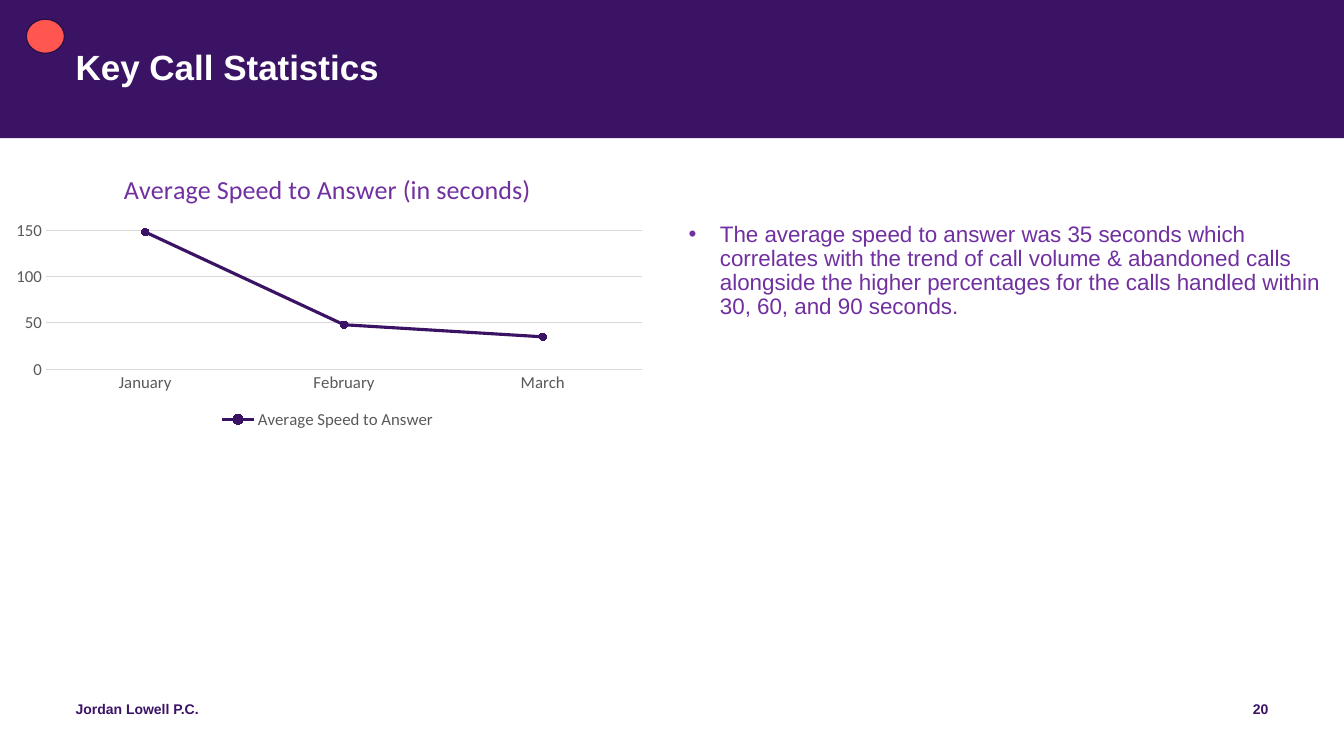
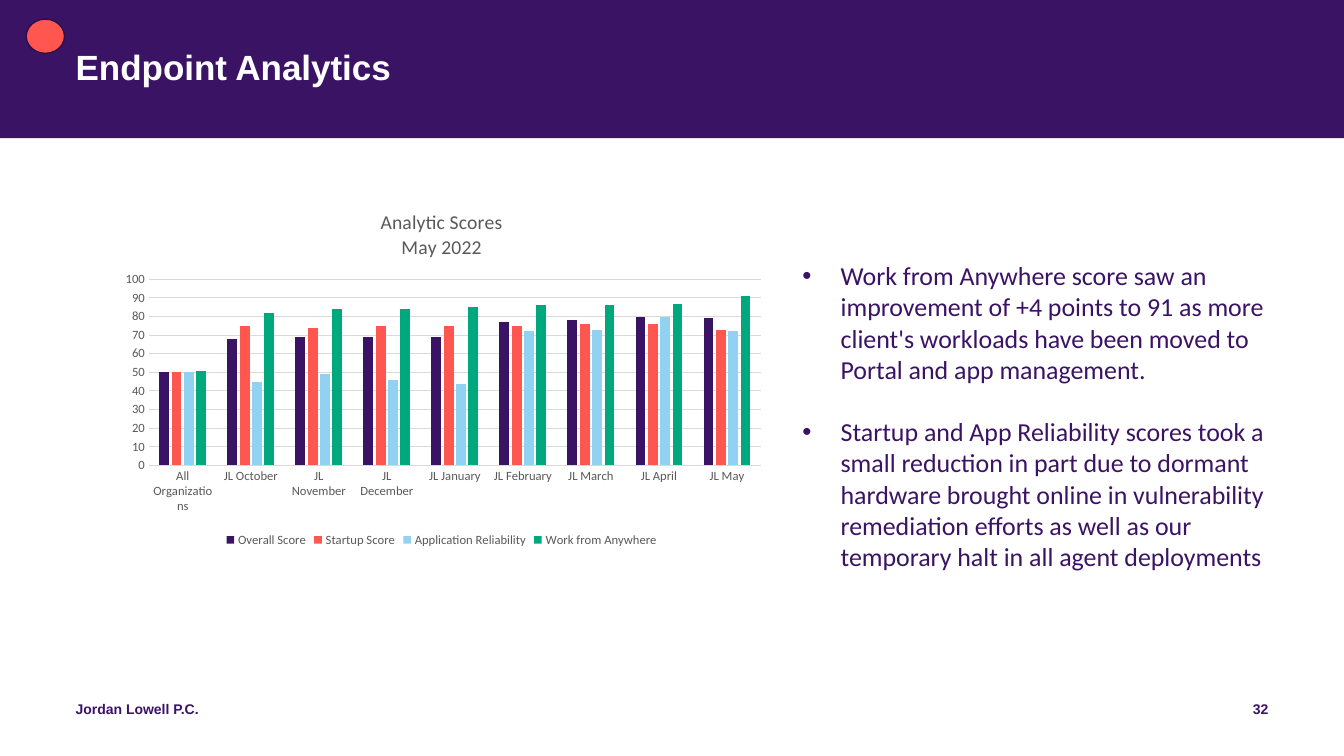
from lxml import etree
from pptx import Presentation
from pptx import util as u
from pptx.chart import data
from pptx.dml import color
from pptx.enum import chart as charts, shapes, text
from pptx.oxml import ns

WIDTH, HEIGHT = 13.33, 7.5
PURPLE, CORAL, SKY, GREEN = "3B1365", "FF5750", "91D2F2", "00A87E"
OUTLINE, VIOLET, GREY, GRID, WHITE = "2C0E4B", "7030A0", "595959", "D9D9D9", "FFFFFF"
FIRM = "Jordan Lowell P.C."


def rgb(value):
    """Turn a hex string into a colour."""
    return color.RGBColor.from_string(value)


def box(left, top, width, height):
    """Turn percentages of the slide into a position and a size."""
    return (u.Inches(left * WIDTH / 100), u.Inches(top * HEIGHT / 100),
            u.Inches(width * WIDTH / 100), u.Inches(height * HEIGHT / 100))


def style_font(font, size, fill, name="Arial", bold=False):
    """Set the face, size, weight and colour of a font."""
    font.name, font.size, font.bold = name, u.Pt(size), bold
    font.color.rgb = rgb(fill)


def prepare_frame(frame, inset_x=0, inset_y=0):
    """Make a text frame wrap from its top with the given insets."""
    frame.word_wrap = True
    frame.auto_size = text.MSO_AUTO_SIZE.NONE
    frame.vertical_anchor = text.MSO_ANCHOR.TOP
    frame.margin_left = frame.margin_right = u.Inches(inset_x)
    frame.margin_top = frame.margin_bottom = u.Inches(inset_y)


def add_run(paragraph, words, *font):
    """Add one styled run to a paragraph."""
    run = paragraph.add_run()
    run.text = words
    style_font(run.font, *font)


def add_preset(slide, preset, area, fill, line=None):
    """Add a filled preset shape with an optional outline."""
    shape = slide.shapes.add_shape(preset, *box(*area))
    shape.shadow.inherit = False
    shape.fill.solid()
    shape.fill.fore_color.rgb = rgb(fill)
    if line:
        shape.line.color.rgb = rgb(line)
        shape.line.width = u.Pt(1)
    else:
        shape.line.fill.background()
    return shape


def add_label(slide, area, words, align):
    """Add a footer label."""
    frame = slide.shapes.add_textbox(*box(*area)).text_frame
    prepare_frame(frame)
    paragraph = frame.paragraphs[0]
    paragraph.alignment = align
    add_run(paragraph, words, 10, PURPLE, "Arial", True)


def add_slide(presentation, heading, number):
    """Add a slide with its band, title, dot and footer."""
    slide = presentation.slides.add_slide(presentation.slide_layouts[5])
    band = add_preset(slide, shapes.MSO_SHAPE.RECTANGLE, (0, 0, 100, 18.27), PURPLE)
    title = slide.shapes.title
    title._element.addprevious(band._element)
    title.left, title.top, title.width, title.height = box(5.63, 6.67, 88.75, 10.8)
    prepare_frame(title.text_frame)
    paragraph = title.text_frame.paragraphs[0]
    paragraph.alignment = text.PP_ALIGN.LEFT
    paragraph.line_spacing = 0.9
    add_run(paragraph, heading, 25, WHITE, "Arial", True)
    add_preset(slide, shapes.MSO_SHAPE.OVAL, (1.95, 2.53, 2.85, 4.53), CORAL, OUTLINE)
    add_label(slide, (5.63, 92.67, 33.76, 5.33), FIRM, text.PP_ALIGN.LEFT)
    add_label(slide, (71.87, 92.67, 22.51, 5.33), str(number), text.PP_ALIGN.RIGHT)
    return slide


def add_bullets(slide, area, items, font, indent, spacing=1.0, gap=0, insets=(0, 0)):
    """Add a box of bulleted paragraphs."""
    frame = slide.shapes.add_textbox(*box(*area)).text_frame
    prepare_frame(frame, *insets)
    for index, words in enumerate(items):
        paragraph = frame.add_paragraph() if index else frame.paragraphs[0]
        paragraph.line_spacing = spacing
        paragraph.space_before = u.Pt(gap if index else 0)
        properties = paragraph._p.get_or_add_pPr()
        properties.set("marL", str(u.Inches(indent)))
        properties.set("indent", str(-u.Inches(indent)))
        etree.SubElement(properties, ns.qn("a:buFont")).set("typeface", "Arial")
        etree.SubElement(properties, ns.qn("a:buChar")).set("char", "•")
        add_run(paragraph, words, *font)


def set_plot_area(chart, *shares):
    """Place the inner plot area by shares of the chart."""
    plot_area = chart._chartSpace.chart.plotArea
    for layout in plot_area.findall(ns.qn("c:layout")):
        plot_area.remove(layout)
    layout = etree.Element(ns.qn("c:layout"))
    plot_area.insert(0, layout)
    manual = etree.SubElement(layout, ns.qn("c:manualLayout"))
    settings = [("layoutTarget", "inner"), ("xMode", "edge"), ("yMode", "edge")]
    for tag, value in settings + list(zip("xywh", shares)):
        etree.SubElement(manual, ns.qn(f"c:{tag}")).set("val", str(value))


def style_axes(chart, size, maximum, step):
    """Format both axes and the value gridlines."""
    for axis in (chart.category_axis, chart.value_axis):
        axis.major_tick_mark = axis.minor_tick_mark = charts.XL_TICK_MARK.NONE
        style_font(axis.tick_labels.font, size, GREY, "Calibri")
    values = chart.value_axis
    values.minimum_scale, values.maximum_scale, values.major_unit = 0, maximum, step
    values.format.line.fill.background()
    for line in (chart.category_axis.format.line, values.major_gridlines.format.line):
        line.color.rgb = rgb(GRID)
        line.width = u.Pt(0.75)


def add_chart(slide, kind, area, categories, series, heading, title_font, size, scale):
    """Add a chart with a title, a bottom legend and styled axes."""
    chart_data = data.CategoryChartData()
    chart_data.categories = categories
    for name, values in series:
        chart_data.add_series(name, values)
    chart = slide.shapes.add_chart(kind, *box(*area), chart_data).chart
    style_font(chart.font, 10, GREY, "Calibri")
    chart.has_title = True
    frame = chart.chart_title.text_frame
    for index, words in enumerate(heading):
        paragraph = frame.add_paragraph() if index else frame.paragraphs[0]
        add_run(paragraph, words, *title_font)
    chart.chart_title.include_in_layout = False
    chart.has_legend = True
    chart.legend.position = charts.XL_LEGEND_POSITION.BOTTOM
    chart.legend.include_in_layout = False
    style_font(chart.legend.font, size, GREY, "Calibri")
    style_axes(chart, size, *scale)
    chart.plots[0].vary_by_categories = False
    return chart


def style_line(series, fill):
    """Give a line series its stroke and round markers."""
    series.smooth = False
    series.format.line.color.rgb = rgb(fill)
    series.format.line.width = u.Pt(2.25)
    marker = series.marker
    marker.style, marker.size = charts.XL_MARKER_STYLE.CIRCLE, 5
    marker.format.fill.solid()
    marker.format.fill.fore_color.rgb = rgb(fill)
    marker.format.line.color.rgb = rgb(fill)


def style_columns(plot, fills):
    """Space the columns and colour each series."""
    plot.gap_width, plot.overlap = 219, -27
    for series, fill in zip(plot.series, fills):
        series.format.fill.solid()
        series.format.fill.fore_color.rgb = rgb(fill)


def build_call_statistics(presentation):
    """Build the slide on answering speed."""
    slide = add_slide(presentation, "Key Call Statistics", 20)
    add_bullets(slide, (51.24, 29.47, 48.76, 28), [
        "The average speed to answer was 35 seconds which correlates with the trend of "
        "call volume & abandoned calls alongside the higher percentages for the calls "
        "handled within 30, 60, and 90 seconds."], (16, VIOLET), 0.31, spacing=0.9)
    chart = add_chart(
        slide, charts.XL_CHART_TYPE.LINE_MARKERS, (0, 20.53, 48.76, 36.8),
        ["January", "February", "March"], [("Average Speed to Answer", (148, 48, 35))],
        ["Average Speed to Answer (in seconds)"], (18.6, VIOLET, "Calibri"), 12, (150, 50))
    set_plot_area(chart, 0.07, 0.27, 0.91, 0.5)
    style_line(chart.plots[0].series[0], PURPLE)


def build_endpoint_analytics(presentation):
    """Build the slide on analytic scores."""
    slide = add_slide(presentation, "Endpoint Analytics", 32)
    add_bullets(slide, (58.96, 33.73, 38.18, 48), [
        "Work from Anywhere score saw an improvement of +4 points to 91 as more client's "
        "workloads have been moved to Portal and app management.",
        "Startup and App Reliability scores took a small reduction in part due to dormant "
        "hardware brought online in vulnerability remediation efforts as well as our "
        "temporary halt in all agent deployments"],
        (18.5, PURPLE, "Calibri"), 0.38, gap=22.5, insets=(0.1, 0.05))
    months = ["October", "November", "December", "January", "February", "March",
              "April", "May"]
    chart = add_chart(
        slide, charts.XL_CHART_TYPE.COLUMN_CLUSTERED, (8.1, 25.6, 49.51, 47.33),
        ["All Organizations"] + [f"JL {month}" for month in months],
        [("Overall Score", (50, 68, 69, 69, 69, 77, 78, 80, 79)),
         ("Startup Score", (50, 75, 74, 75, 75, 75, 76, 76, 73)),
         ("Application Reliability", (50, 45, 49, 46, 44, 72, 73, 80, 72)),
         ("Work from Anywhere", (51, 82, 84, 84, 85, 86, 86, 87, 91))],
        ["Analytic Scores", "May 2022"], (14, GREY, "Calibri"), 9, (100, 10))
    set_plot_area(chart, 0.06, 0.24, 0.92, 0.52)
    style_columns(chart.plots[0], (PURPLE, CORAL, SKY, GREEN))


def main():
    """Build and save the presentation."""
    presentation = Presentation()
    presentation.slide_width = u.Inches(WIDTH)
    presentation.slide_height = u.Inches(HEIGHT)
    build_call_statistics(presentation)
    build_endpoint_analytics(presentation)
    presentation.save("out.pptx")


if __name__ == "__main__":
    main()
